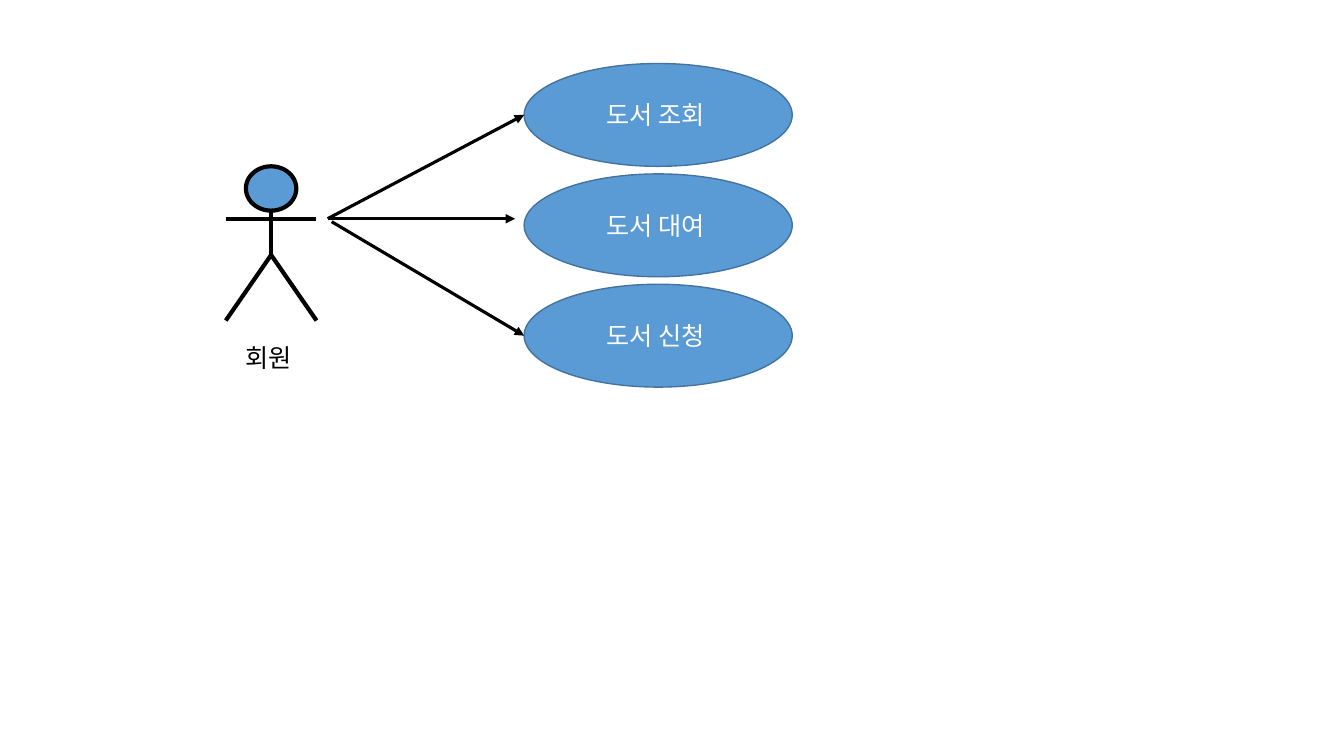
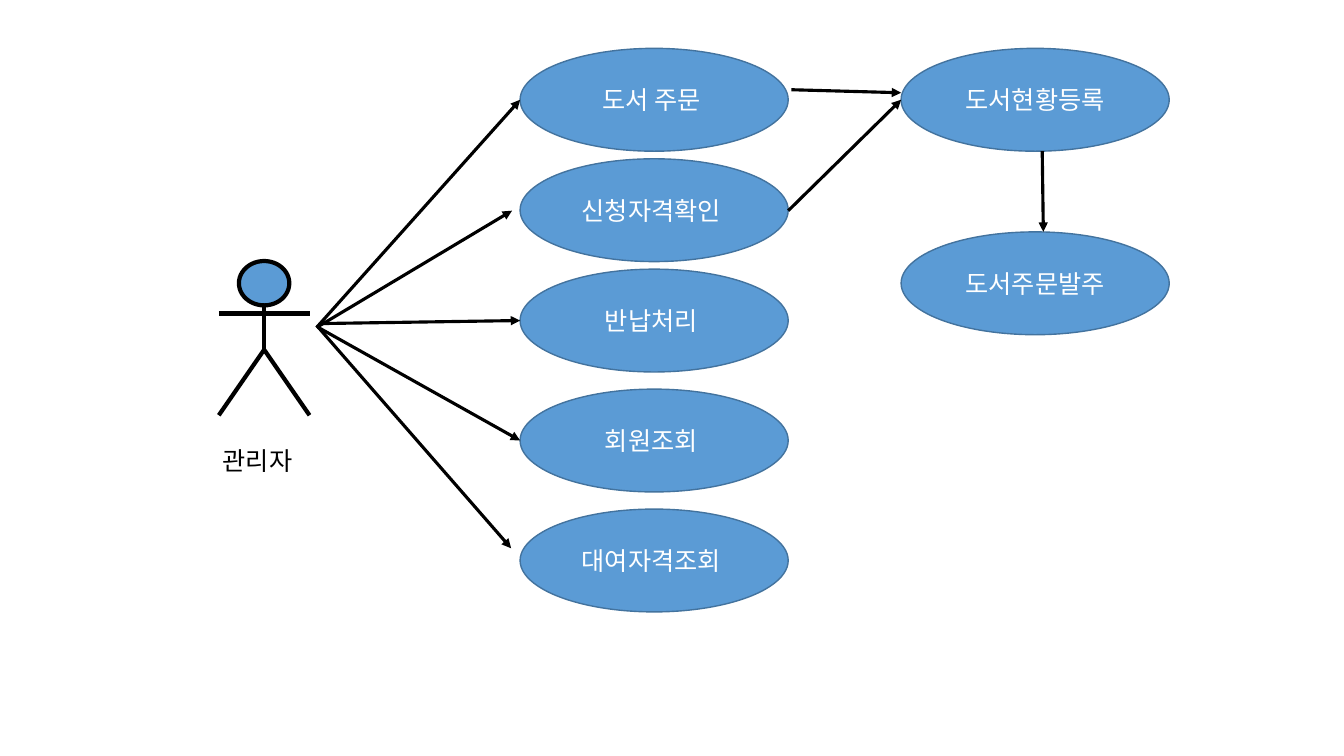
from dataclasses import dataclass, field
from typing import NamedTuple

from pptx import Presentation
from pptx.dml.color import RGBColor as Rgb
from pptx.enum.shapes import MSO_CONNECTOR as Link, MSO_SHAPE as Kind
from pptx.enum.text import MSO_ANCHOR as Anchor, MSO_AUTO_SIZE as Fit, PP_ALIGN as Align
from pptx.oxml.ns import qn
from pptx.slide import Slide
from pptx.text.text import TextFrame
from pptx.util import Emu, Inches, Pt

WIDE, HIGH = Inches(13.333), Inches(7.5)


@dataclass(frozen=True)
class Theme:
    """Colours, font, type size and line widths."""
    fill: Rgb = field(default_factory=lambda: Rgb(0x5B, 0x9B, 0xD5))
    edge: Rgb = field(default_factory=lambda: Rgb(0x43, 0x73, 0x9E))
    light: Rgb = field(default_factory=lambda: Rgb(255, 255, 255))
    ink: Rgb = field(default_factory=lambda: Rgb(0, 0, 0))
    font: str = "Noto Sans CJK KR"
    size: float = 18
    thin: float = 1
    mid: float = 2.25
    thick: float = 3


# All lengths below are percent of the slide's width (x) or height (y).
class Point(NamedTuple):
    """A place on the slide."""
    x: float
    y: float


class Box(NamedTuple):
    """A frame on the slide."""
    x: float
    y: float
    wide: float
    high: float


class Stack(NamedTuple):
    """Use cases set one below the other at an equal step."""
    x: float
    y: float
    step: float
    names: tuple[str, ...]


class Actor(NamedTuple):
    """A stick figure, placed by its top left corner, and its label."""
    at: Point
    name: str
    label: Box


class Arrow(NamedTuple):
    """An arrow between two points."""
    start: Point
    end: Point


class Scene(NamedTuple):
    """All that one slide shows."""
    actor: Actor
    stacks: tuple[Stack, ...]
    arrows: tuple[Arrow, ...]


THEME = Theme()
CASE = Point(19.95, 13.6)
HEAD = Point(3.75, 5.87)
SPAN, ARM, HIP, FOOT = 6.75, 6.93, 11.73, 20.4


def across(share: float) -> Emu:
    """Turn a share of the width into a length."""
    return Emu(round(WIDE * share / 100))


def down(share: float) -> Emu:
    """Turn a share of the height into a length."""
    return Emu(round(HIGH * share / 100))


def frame(box: Box) -> tuple[Emu, Emu, Emu, Emu]:
    """Give a box as left, top, width and height."""
    return across(box.x), down(box.y), across(box.wide), down(box.high)


def write(text: TextFrame, words: str, tint: Rgb, align: Align) -> None:
    """Put one styled run into a text frame."""
    para = text.paragraphs[0]
    para.alignment = align
    run = para.add_run()
    run.text = words
    font = run.font
    font.name, font.size, font.color.rgb = THEME.font, Pt(THEME.size), tint
    east = run._r.get_or_add_rPr().makeelement(qn("a:ea"), {"typeface": THEME.font})
    run._r.rPr.find(qn("a:latin")).addnext(east)


def oval(slide: Slide, box: Box, edge: Rgb, weight: float) -> TextFrame:
    """Draw a filled ellipse and return its text frame."""
    shape = slide.shapes.add_shape(Kind.OVAL, *frame(box))
    shape.shadow.inherit = False
    shape.fill.solid()
    shape.fill.fore_color.rgb = THEME.fill
    shape.line.color.rgb, shape.line.width = edge, Pt(weight)
    return shape.text_frame


def stroke(slide: Slide, start: Point, end: Point, weight: float, tip: bool = False) -> None:
    """Draw a straight line, with an arrowhead if asked."""
    line = slide.shapes.add_connector(
        Link.STRAIGHT, across(start.x), down(start.y), across(end.x), down(end.y))
    line.line.color.rgb, line.line.width = THEME.ink, Pt(weight)
    props = line._element.spPr
    if tip:
        pen = props.find(qn("a:ln"))
        pen.append(pen.makeelement(qn("a:tailEnd"), {"type": "triangle"}))
    props.append(props.makeelement(qn("a:effectLst"), {}))


def person(slide: Slide, actor: Actor) -> None:
    """Draw the stick figure and its label."""
    x, y = actor.at
    mid = x + SPAN / 2
    oval(slide, Box(mid - HEAD.x / 2, y, *HEAD), THEME.ink, THEME.thick)
    neck, hip = Point(mid, y + HEAD.y), Point(mid, y + HIP)
    limbs = (
        (Point(x, y + ARM), Point(x + SPAN, y + ARM)),
        (hip, neck),
        (hip, Point(x + SPAN, y + FOOT)),
        (hip, Point(x, y + FOOT)),
    )
    for start, end in limbs:
        stroke(slide, start, end, THEME.thick)
    text = slide.shapes.add_textbox(*frame(actor.label)).text_frame
    text.word_wrap = False
    text.auto_size = Fit.SHAPE_TO_FIT_TEXT
    write(text, actor.name, THEME.ink, Align.LEFT)


def pile(slide: Slide, stack: Stack) -> None:
    """Draw a stack of use cases."""
    for row, name in enumerate(stack.names):
        box = Box(stack.x, stack.y + row * stack.step, *CASE)
        text = oval(slide, box, THEME.edge, THEME.thin)
        text.vertical_anchor = Anchor.MIDDLE
        write(text, name, THEME.light, Align.CENTER)


def draw(slide: Slide, scene: Scene) -> None:
    """Draw a whole scene."""
    for stack in scene.stacks:
        pile(slide, stack)
    person(slide, scene.actor)
    for arrow in scene.arrows:
        stroke(slide, arrow.start, arrow.end, THEME.mid, tip=True)


MEMBER = Scene(
    Actor(Point(16.8, 22), "회원", Box(17.55, 44.67, 5.33, 5.33)),
    (Stack(39, 8.4, 14.6, ("도서 조회 ", "도서 대여 ", "도서 신청 ")),),
    (
        Arrow(Point(24.38, 28.93), Point(39, 15.2)),
        Arrow(Point(24.38, 28.93), Point(38.33, 28.93)),
        Arrow(Point(24.68, 29.33), Point(39, 44.4)),
    ),
)

KEEPER = Scene(
    Actor(Point(16.28, 34.53), "관리자", Box(15.83, 58.27, 7.2, 5.33)),
    (
        Stack(38.7, 6.4, 14.6, ("도서 주문 ", "신청자격확인 ", "반납처리 ")),
        Stack(38.7, 51.47, 15.87, ("회원조회 ", "대여자격조회 ")),
        Stack(67.05, 6.4, 24.27, ("도서현황등록", "도서주문발주")),
    ),
    (
        Arrow(Point(23.55, 43.33), Point(38.7, 13.2)),
        Arrow(Point(23.55, 43.33), Point(38.1, 27.87)),
        Arrow(Point(23.93, 42.8), Point(38.7, 42.4)),
        Arrow(Point(23.7, 43.33), Point(38.7, 58.27)),
        Arrow(Point(23.7, 43.33), Point(38.03, 72.53)),
        Arrow(Point(58.88, 11.87), Point(67.05, 12.27)),
        Arrow(Point(58.65, 27.87), Point(67.05, 13.2)),
        Arrow(Point(77.55, 20), Point(77.63, 30.67)),
    ),
)


def main() -> None:
    """Build and save the deck."""
    deck = Presentation()
    deck.slide_width, deck.slide_height = WIDE, HIGH
    blank = deck.slide_layouts[6]
    for scene in (MEMBER, KEEPER):
        draw(deck.slides.add_slide(blank), scene)
    deck.save("out.pptx")


main()
